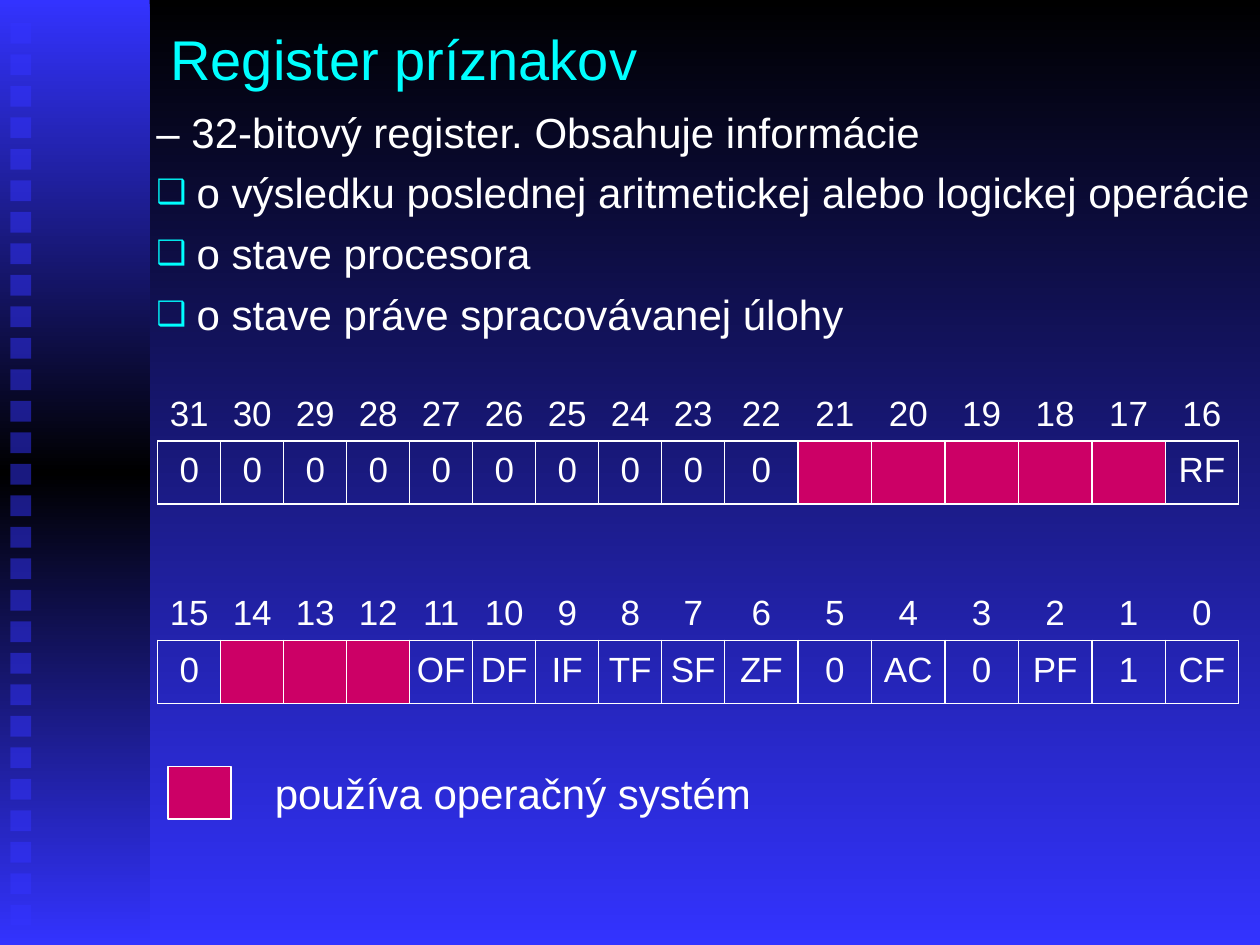
from copy import deepcopy
from dataclasses import dataclass
from typing import Optional

from lxml.etree import SubElement
from pptx import Presentation
from pptx.dml.color import RGBColor
from pptx.enum.shapes import MSO_CONNECTOR, MSO_SHAPE
from pptx.enum.text import MSO_ANCHOR, MSO_AUTO_SIZE, PP_ALIGN
from pptx.oxml.ns import qn
from pptx.util import Cm, Pt

BLACK = RGBColor(0x00, 0x00, 0x00)
BLUE = RGBColor(0x33, 0x33, 0xFF)
WHITE = RGBColor(0xFF, 0xFF, 0xFF)
CYAN = RGBColor(0x00, 0xFF, 0xFF)
CRIMSON = RGBColor(0xCC, 0x00, 0x66)

FONT = "Arial"
PLAIN_TABLE_STYLE = "{2D5ABB26-0587-4C30-8999-92F81FD0307C}"
SQUARE_COUNT = 29
SQUARE_STEP = 0.635
TABLE_LEFT = 3.18
NARROW_COLUMN = 1.27
WIDE_COLUMN = 1.48
NARROW_COUNT = 9
NUMBER_ROW = 1.06
FLAG_ROW = 1.27
SYSTEM = ""


@dataclass(frozen=True)
class Region:
    left: float
    top: float
    width: float
    height: float

    def lengths(self) -> tuple:
        return Cm(self.left), Cm(self.top), Cm(self.width), Cm(self.height)


@dataclass(frozen=True)
class RegisterHalf:
    top: float
    high_bit: int
    flags: list[str]
    merged: Optional[tuple[int, int]] = None


HALVES = [
    RegisterHalf(7.83, 31, ["0"] * 10 + [SYSTEM] * 5 + ["RF"]),
    RegisterHalf(
        11.85,
        15,
        ["0", SYSTEM, SYSTEM, SYSTEM, "OF", "DF", "IF", "TF", "SF", "ZF",
         "0", "AC", "0", "PF", "1", "CF"],
        merged=(2, 3),
    ),
]

BODY_LINES = [
    "– 32-bitový register. Obsahuje informácie",
    "o výsledku poslednej aritmetickej alebo logickej operácie",
    "o stave procesora",
    "o stave práve spracovávanej úlohy",
]


def style_font(para, size: float, color: RGBColor) -> None:
    for span in para.runs:
        span.font.name = FONT
        span.font.size = Pt(size)
        span.font.color.rgb = color


def place(box, region: Region) -> None:
    box.left, box.top, box.width, box.height = region.lengths()


def set_stops(fill, colors: list[RGBColor]) -> None:
    for index, (stop, color) in enumerate(zip(fill.gradient_stops, colors)):
        stop.color.rgb = color
        stop.position = index / (len(colors) - 1)


def add_rectangle(slide, region: Region):
    box = slide.shapes.add_shape(MSO_SHAPE.RECTANGLE, *region.lengths())
    box.shadow.inherit = False
    box.line.fill.background()
    return box


def add_background(slide) -> None:
    fill = slide.background.fill
    fill.gradient()
    fill.gradient_angle = 270
    set_stops(fill, [BLACK, BLUE])


def add_sidebar(slide) -> None:
    band = add_rectangle(slide, Region(0, 0, 3.02, 19.05))
    band.fill.gradient()
    band.fill.gradient_angle = 270
    stops = band._element.spPr.find(".//" + qn("a:gsLst"))
    stops.append(deepcopy(stops[0]))
    set_stops(band.fill, [BLUE, BLACK, BLUE])
    for index in range(SQUARE_COUNT):
        square = add_rectangle(
            slide, Region(0.21, 0.46 + index * SQUARE_STEP, 0.42, 0.42))
        square.fill.solid()
        square.fill.fore_color.rgb = BLUE
        color = square._element.spPr.find(".//" + qn("a:srgbClr"))
        SubElement(color, qn("a:alpha"), val="50000")


def fill_title(slide) -> None:
    title = slide.shapes.title
    place(title, Region(3.18, 0, 21.59, 2.33))
    title.text_frame.text = "Register príznakov"
    title.text_frame.vertical_anchor = MSO_ANCHOR.MIDDLE
    para = title.text_frame.paragraphs[0]
    para.alignment = PP_ALIGN.LEFT
    style_font(para, 32, CYAN)


def set_bullet(para, shown: bool) -> None:
    properties = para._p.get_or_add_pPr()
    indent = Cm(0.81) if shown else 0
    properties.set("marL", str(indent))
    properties.set("indent", str(-indent))
    if not shown:
        SubElement(properties, qn("a:buNone"))
        return
    color = SubElement(properties, qn("a:buClr"))
    SubElement(color, qn("a:srgbClr"), val=str(CYAN))
    SubElement(properties, qn("a:buSzPct"), val="80000")
    SubElement(properties, qn("a:buChar"), char="❑")


def fill_body(slide) -> None:
    body = slide.placeholders[1]
    place(body, Region(2.9, 2.01, 24.56, 4.93))
    frame = body.text_frame
    frame.text = "\n".join(BODY_LINES)
    frame.auto_size = MSO_AUTO_SIZE.NONE
    for index, para in enumerate(frame.paragraphs):
        set_bullet(para, shown=index > 0)
        para.space_before = Pt(6 if index else 0)
        style_font(para, 24, WHITE)


def set_borders(cell, sides: str) -> None:
    properties = cell._tc.get_or_add_tcPr()
    for index, side in enumerate("LRTB"):
        line = SubElement(properties, qn(f"a:ln{side}"), w=str(Pt(1)))
        if side in sides:
            solid = SubElement(line, qn("a:solidFill"))
            SubElement(solid, qn("a:srgbClr"), val=str(WHITE))
        else:
            SubElement(line, qn("a:noFill"))
        properties.insert(index, line)


def fill_cell(cell, text: str, top: float, bottom: float, sides: str) -> None:
    cell.margin_left = cell.margin_right = Cm(0.1)
    cell.margin_top, cell.margin_bottom = Cm(top), Cm(bottom)
    if text == SYSTEM:
        cell.fill.solid()
        cell.fill.fore_color.rgb = CRIMSON
    else:
        cell.fill.background()
        cell.text_frame.text = text
        para = cell.text_frame.paragraphs[0]
        para.alignment = PP_ALIGN.CENTER
        style_font(para, 20, WHITE)
    set_borders(cell, sides)


def add_register(slide, half: RegisterHalf) -> None:
    count = len(half.flags)
    widths = [NARROW_COLUMN] * NARROW_COUNT + [WIDE_COLUMN] * (count - NARROW_COUNT)
    region = Region(TABLE_LEFT, half.top, sum(widths), NUMBER_ROW + FLAG_ROW)
    table = slide.shapes.add_table(2, count, *region.lengths()).table
    table.first_row = table.horz_banding = False
    table._tbl.tblPr.find(qn("a:tableStyleId")).text = PLAIN_TABLE_STYLE
    table.rows[0].height, table.rows[1].height = Cm(NUMBER_ROW), Cm(FLAG_ROW)
    for index, (width, flag) in enumerate(zip(widths, half.flags)):
        table.columns[index].width = Cm(width)
        fill_cell(table.cell(0, index), str(half.high_bit - index), 0.13, 0, "B")
        fill_cell(table.cell(1, index), flag, 0.2, 0.13, "LRTB")
    if half.merged:
        first, last = half.merged
        table.cell(1, first).merge(table.cell(1, last))
        divider_left = Cm(TABLE_LEFT + sum(widths[:last]))
        divider_top = half.top + NUMBER_ROW
        divider = slide.shapes.add_connector(
            MSO_CONNECTOR.STRAIGHT, divider_left, Cm(divider_top),
            divider_left, Cm(divider_top + FLAG_ROW))
        divider.line.color.rgb = WHITE
        divider.line.width = Pt(0.75)
        SubElement(divider._element.spPr, qn("a:effectLst"))


def add_legend(slide) -> None:
    swatch = add_rectangle(slide, Region(3.39, 15.45, 1.27, 1.06))
    swatch.fill.solid()
    swatch.fill.fore_color.rgb = CRIMSON
    swatch.line.color.rgb = WHITE
    swatch.line.width = Pt(0.75)
    label = slide.shapes.add_textbox(*Region(5.29, 15.24, 13.76, 1.36).lengths())
    label.text_frame.word_wrap = True
    label.text_frame.margin_top = Cm(0.23)
    label.text_frame.text = "používa operačný systém"
    style_font(label.text_frame.paragraphs[0], 24, WHITE)


def main() -> None:
    deck = Presentation()
    deck.slide_width, deck.slide_height = Cm(25.4), Cm(19.05)
    page = deck.slides.add_slide(deck.slide_layouts[1])
    add_background(page)
    add_sidebar(page)
    fill_title(page)
    fill_body(page)
    for half in HALVES:
        add_register(page, half)
    add_legend(page)
    deck.save("out.pptx")


if __name__ == "__main__":
    main()
